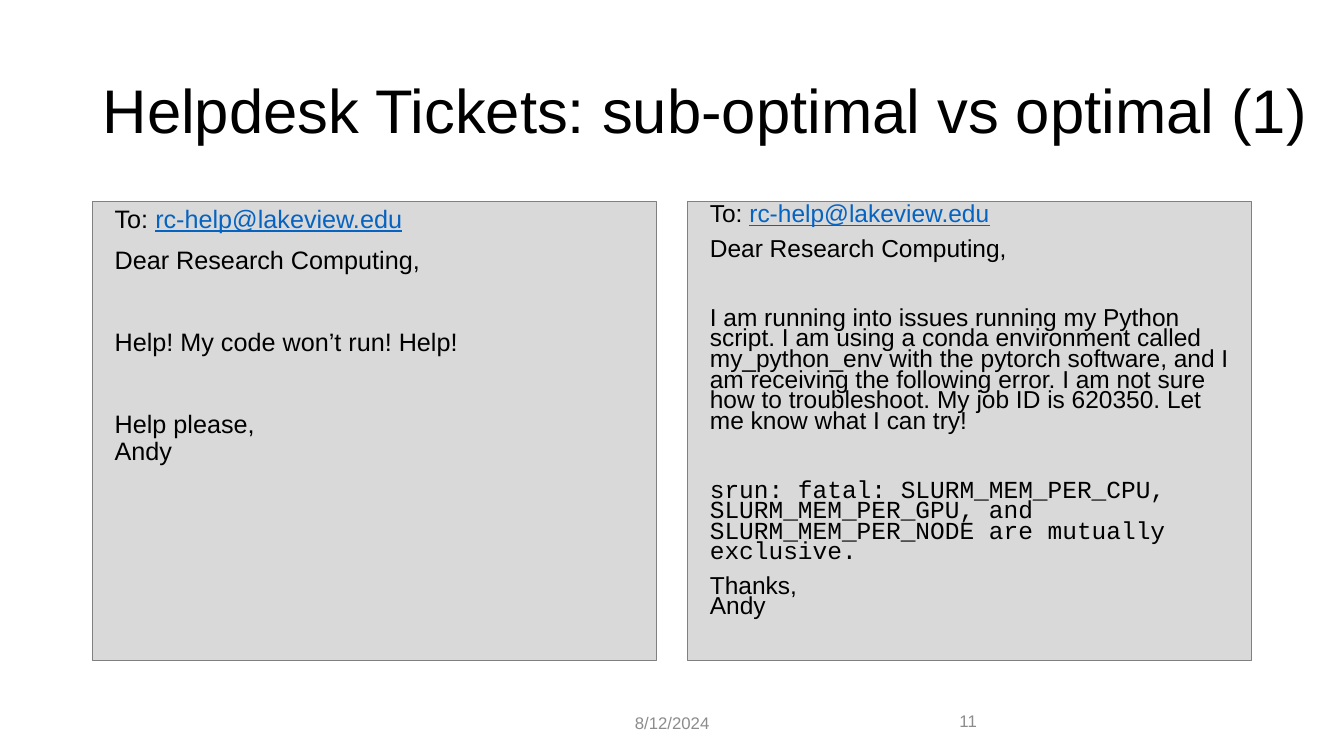
from pptx import Presentation
from pptx.dml.color import RGBColor
from pptx.enum.shapes import MSO_SHAPE
from pptx.enum.text import MSO_ANCHOR, PP_ALIGN
from pptx.util import Cm, Pt

RECTANGLE = MSO_SHAPE.RECTANGLE
TOP, MIDDLE = MSO_ANCHOR.TOP, MSO_ANCHOR.MIDDLE
LEFT, CENTER = PP_ALIGN.LEFT, PP_ALIGN.CENTER

BLACK, GREY, LINK_BLUE = "000000", "8C8C8C", "0563C1"
PANEL_FILL, PANEL_LINE = "D9D9D9", "808080"
ADDRESS = "rc-help@lakeview.edu"


def color(value):
    return RGBColor.from_string(value)


def write(paragraph, text, size=18, font="Arial", fill=BLACK, align=LEFT,
          line_spacing=1.0, space_before=0):
    """Fill a paragraph; the help address is set as a link, \n breaks the line."""
    paragraph.alignment = align
    paragraph.line_spacing = line_spacing
    paragraph.space_before = Pt(space_before)
    for number, line in enumerate(text.split("\n")):
        if number:
            paragraph.add_line_break()
        for part in line.partition(ADDRESS):
            if not part:
                continue
            run = paragraph.add_run()
            run.text = part
            run.font.size = Pt(size)
            run.font.name = font
            run.font.color.rgb = color(LINK_BLUE if part == ADDRESS else fill)
            if part == ADDRESS:
                run.font.underline = True


presentation = Presentation()
presentation.slide_width = Cm(33.87)
presentation.slide_height = Cm(19.05)
slide = presentation.slides.add_slide(presentation.slide_layouts[5])

# Title
title = slide.shapes.title
title.left, title.top, title.width, title.height = Cm(2.33), Cm(1.01), Cm(31.12), Cm(3.68)
title.text_frame.word_wrap = True
title.text_frame.vertical_anchor = MIDDLE
write(title.text_frame.paragraphs[0], "Helpdesk Tickets: sub-optimal vs optimal (1)",
      size=44, line_spacing=0.9)

# Ticket texts: (text, starts after a gap, font)
greeting = [
    (f"To: {ADDRESS}", False, "Arial"),
    ("Dear Research Computing,", False, "Arial"),
]
sub_optimal = greeting + [
    ("Help! My code won’t run! Help!", True, "Arial"),
    ("Help please,\nAndy", True, "Arial"),
]
optimal = greeting + [
    ("I am running into issues running my Python script. I am using a conda "
     "environment called my_python_env with the pytorch software, and I am "
     "receiving the following error. I am not sure how to troubleshoot. "
     "My job ID is 620350. Let me know what I can try!", True, "Arial"),
    ("srun: fatal: SLURM_MEM_PER_CPU, SLURM_MEM_PER_GPU, and "
     "SLURM_MEM_PER_NODE are mutually exclusive.", True, "Courier New"),
    ("Thanks,\nAndy", False, "Arial"),
]

# Ticket panels: text, size, line spacing, space before after a gap
panels = [(sub_optimal, 18, 0.9, 39), (optimal, 17.5, 0.7, 34.5)]
for column, (ticket, size, line_spacing, gap) in enumerate(panels):
    panel = slide.shapes.add_shape(RECTANGLE, Cm(2.33 + 15 * column), Cm(5.08),
                                   Cm(14.22), Cm(11.56))
    panel.shadow.inherit = False
    panel.fill.solid()
    panel.fill.fore_color.rgb = color(PANEL_FILL)
    panel.line.color.rgb = color(PANEL_LINE)
    panel.line.width = Pt(0.75)
    frame = panel.text_frame
    frame.word_wrap = True
    frame.vertical_anchor = TOP
    frame.margin_left = Cm(0.56)
    for number, (text, after_gap, font) in enumerate(ticket):
        paragraph = frame.add_paragraph() if number else frame.paragraphs[0]
        write(paragraph, text, size=size, font=font, line_spacing=line_spacing,
              space_before=gap if after_gap else 10)

# Slide number and date
footers = [("11", 23.93, 17.65, LEFT), ("8/12/2024", 13.13, 17.7, CENTER)]
for text, left, top, align in footers:
    footer = slide.shapes.add_textbox(Cm(left), Cm(top), Cm(7.62), Cm(1.02))
    footer.text_frame.word_wrap = True
    footer.text_frame.vertical_anchor = MIDDLE
    write(footer.text_frame.paragraphs[0], text, size=12, fill=GREY, align=align)

presentation.save("out.pptx")
